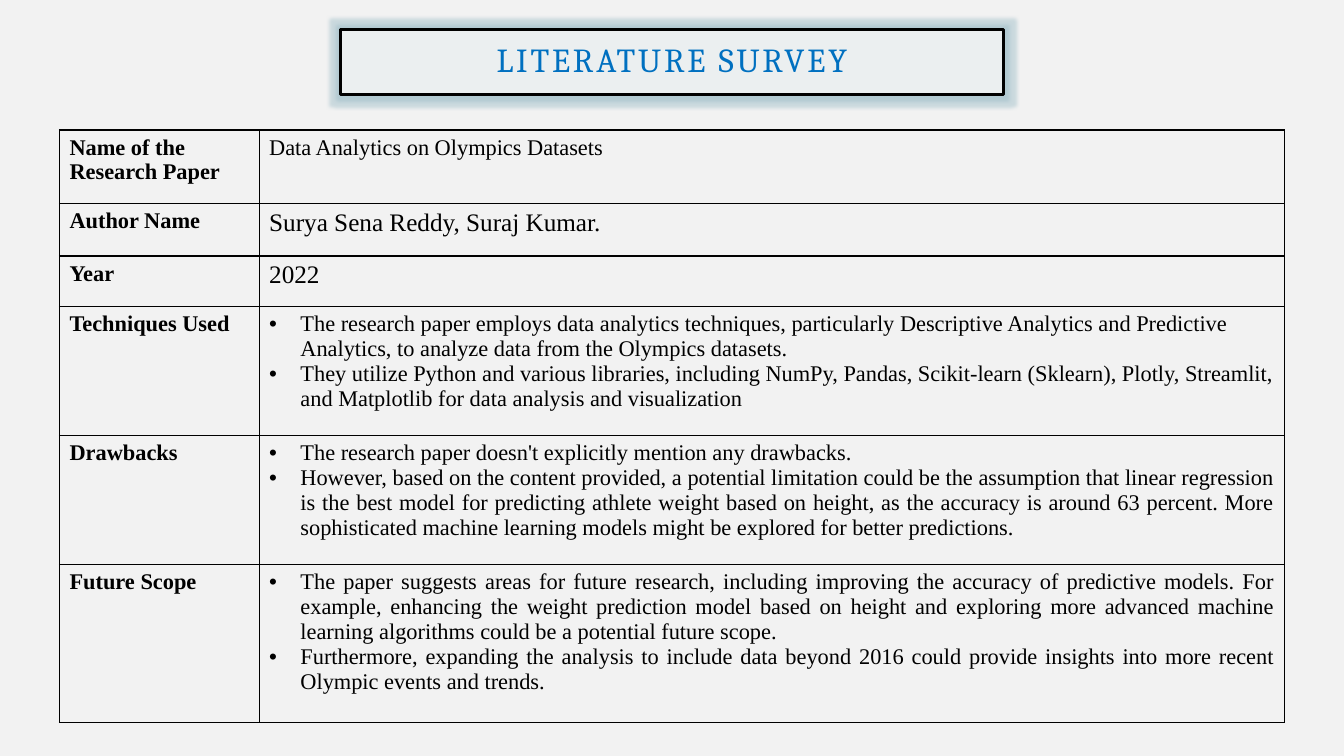
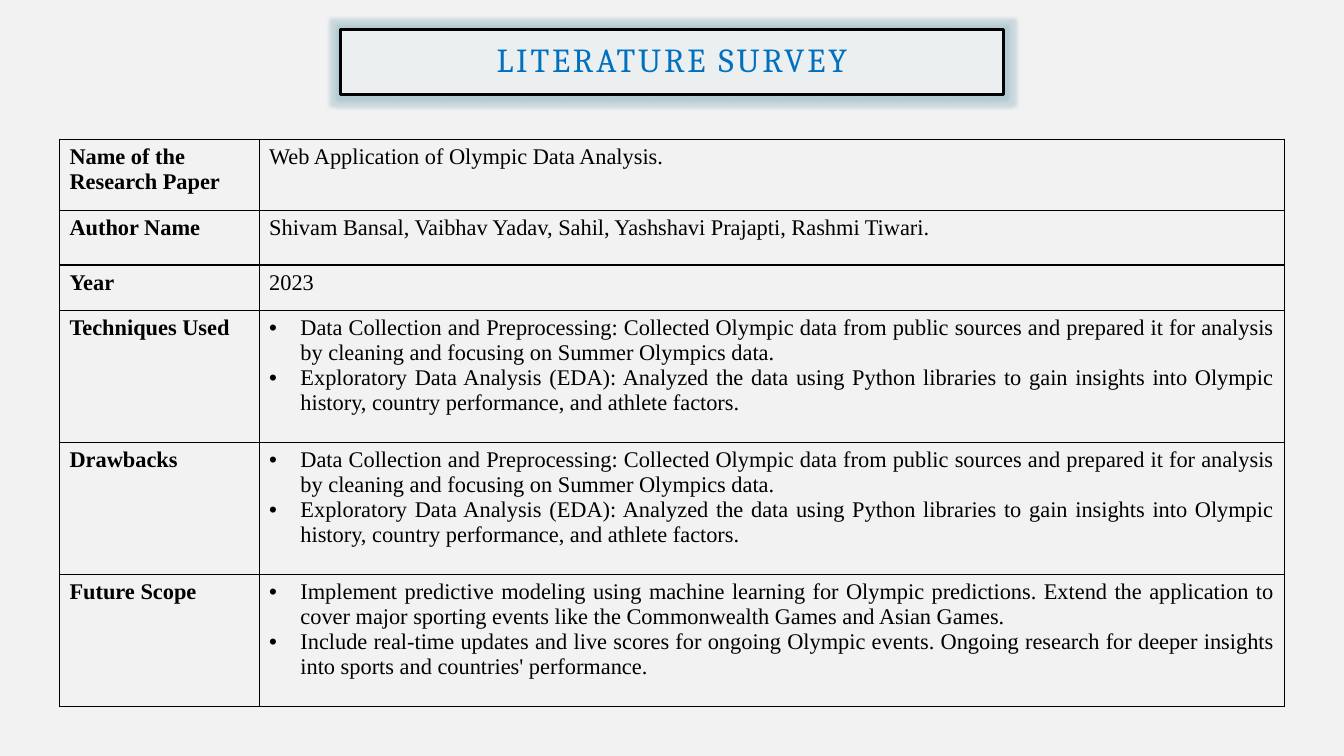
"""Build two literature survey slides, each with a framed title and a table."""
from dataclasses import dataclass

from lxml.etree import SubElement
from pptx import Presentation
from pptx.dml.color import RGBColor
from pptx.enum.shapes import MSO_SHAPE as Shape
from pptx.enum.text import MSO_ANCHOR as Anchor, PP_ALIGN as Align
from pptx.oxml import parse_xml
from pptx.oxml.ns import nsdecls, qn
from pptx.util import Inches, Pt


@dataclass(frozen=True)
class Theme:
    """Colours, fonts, type sizes and measures shared by the slides."""
    background: str = "F2F2F2"
    title_fill: str = "EBEFF0"
    title_text: str = "0070C0"
    glow: str = "8FB4C0"
    ink: str = "000000"
    title_font: str = "Cambria"
    body_font: str = "Times New Roman"
    title_size: int = 24
    body_size: int = 16
    large_size: int = 18
    frame: float = 2.25
    rule: float = 1
    indent: float = 0.31


THEME = Theme()
WIDTH, HEIGHT = 13.33, 7.5
TITLE = "LITERATURE SURVEY"
TITLE_TOP, TITLE_WIDTH, TITLE_HEIGHT = 0.29, 6.58, 0.65
COLUMNS = (1.98, 10.17)
LABELS = ("Name of the Research Paper", "Author Name", "Year",
          "Techniques Used", "Drawbacks", "Future Scope")
LARGE = {"size": Pt(THEME.large_size)}

COLLECTION = [
    "Data Collection and Preprocessing: Collected Olympic data from public sources and prepared it "
    "for analysis by cleaning and focusing on Summer Olympics data.",
    "Exploratory Data Analysis (EDA): Analyzed the data using Python libraries to gain insights into "
    "Olympic history, country performance, and athlete factors.",
]

SURVEYS = [
    {
        "top": 1.29,
        "rows": (0.73, 0.52, 0.5, 1.28, 1.28, 1.57),
        "formats": {"Author Name": LARGE, "Year": LARGE},
        "left_aligned": {"Techniques Used"},
        "entries": [
            "Data Analytics on Olympics Datasets",
            "Surya Sena Reddy, Suraj Kumar.",
            "2022",
            ["The research paper employs data analytics techniques, particularly Descriptive Analytics "
             "and Predictive Analytics, to analyze data from the Olympics datasets.",
             "They utilize Python and various libraries, including NumPy, Pandas, Scikit-learn (Sklearn), "
             "Plotly, Streamlit, and Matplotlib for data analysis and visualization"],
            ["The research paper doesn't explicitly mention any drawbacks.",
             "However, based on the content provided, a potential limitation could be the assumption that "
             "linear regression is the best model for predicting athlete weight based on height, as the "
             "accuracy is around 63 percent. More sophisticated machine learning models might be explored "
             "for better predictions."],
            ["The paper suggests areas for future research, including improving the accuracy of predictive "
             "models. For example, enhancing the weight prediction model based on height and exploring more "
             "advanced machine learning algorithms could be a potential future scope.",
             "Furthermore, expanding the analysis to include data beyond 2016 could provide insights into "
             "more recent Olympic events and trends."],
        ],
    },
    {
        "top": 1.38,
        "rows": (0.71, 0.54, 0.45, 1.31, 1.31, 1.31),
        "formats": {},
        "left_aligned": set(),
        "entries": [
            "Web Application of Olympic Data Analysis.",
            "Shivam Bansal, Vaibhav Yadav, Sahil, Yashshavi Prajapti, Rashmi Tiwari.",
            "2023",
            COLLECTION,
            COLLECTION,
            ["Implement predictive modeling using machine learning for Olympic predictions. Extend the "
             "application to cover major sporting events like the Commonwealth Games and Asian Games.",
             "Include real-time updates and live scores for ongoing Olympic events. Ongoing research for "
             "deeper insights into sports and countries' performance."],
        ],
    },
]


def apply(target, values):
    """Set each named attribute on the target."""
    for name, value in values.items():
        setattr(target, name, value)


def color(code):
    """Return the colour for a hex code."""
    return RGBColor.from_string(code)


def line_xml(tag, width):
    """Return a solid ink line element."""
    return parse_xml(
        f'<a:{tag} {nsdecls("a")} w="{Pt(width)}"><a:solidFill>'
        f'<a:srgbClr val="{THEME.ink}"/></a:solidFill></a:{tag}>')


def add_title(slide):
    """Add the framed, glowing title."""
    shape = slide.shapes.add_shape(
        Shape.RECTANGLE, Inches((WIDTH - TITLE_WIDTH) / 2), Inches(TITLE_TOP),
        Inches(TITLE_WIDTH), Inches(TITLE_HEIGHT))
    shape.fill.solid()
    shape.fill.fore_color.rgb = color(THEME.title_fill)
    shape.line.color.rgb = color(THEME.ink)
    shape.line.width = Pt(THEME.frame)
    shape.shadow.inherit = False
    effects = shape._element.spPr.find(qn("a:effectLst"))
    effects.append(parse_xml(
        f'<a:glow {nsdecls("a")} rad="{Inches(0.07)}"><a:srgbClr val="{THEME.glow}">'
        '<a:alpha val="40000"/></a:srgbClr></a:glow>'))
    frame = shape.text_frame
    margins = ("margin_left", "margin_top", "margin_right", "margin_bottom")
    apply(frame, {"word_wrap": True, "vertical_anchor": Anchor.MIDDLE,
                  **dict.fromkeys(margins, Inches(0.2))})
    paragraph = frame.paragraphs[0]
    apply(paragraph, {"alignment": Align.CENTER, "line_spacing": 0.9})
    run = paragraph.add_run()
    run.text = TITLE
    apply(run.font, {"name": THEME.title_font, "size": Pt(THEME.title_size)})
    run.font.color.rgb = color(THEME.title_text)
    properties = run.font._element
    properties.set("spc", "200")
    properties.insert(0, line_xml("ln", 0.75))


def add_bullet(paragraph):
    """Give a paragraph a hanging bullet."""
    properties = paragraph._p.get_or_add_pPr()
    indent = Inches(THEME.indent)
    properties.set("marL", str(indent))
    properties.set("indent", str(-indent))
    SubElement(properties, qn("a:buFont"), typeface="Arial")
    SubElement(properties, qn("a:buChar"), char="•")


def fill_cell(cell, content, values, alignment=Align.LEFT):
    """Write text or a bulleted list into a ruled, unfilled cell."""
    properties = cell._tc.get_or_add_tcPr()
    for side in "LRTB":
        properties.append(line_xml(f"ln{side}", THEME.rule))
    cell.fill.background()
    bulleted = isinstance(content, list)
    frame = cell.text_frame
    for index, text in enumerate(content if bulleted else [content]):
        paragraph = frame.add_paragraph() if index else frame.paragraphs[0]
        paragraph.alignment = alignment
        if bulleted:
            add_bullet(paragraph)
        run = paragraph.add_run()
        run.text = text
        apply(run.font, {"name": THEME.body_font, "size": Pt(THEME.body_size),
                         "bold": False, **values})
        run.font.color.rgb = color(THEME.ink)


def add_survey(slide, survey):
    """Add the table describing one research paper."""
    width, rows = sum(COLUMNS), survey["rows"]
    table = slide.shapes.add_table(
        len(rows), len(COLUMNS), Inches((WIDTH - width) / 2), Inches(survey["top"]),
        Inches(width), Inches(sum(rows))).table
    apply(table, {"first_row": False, "horz_banding": False})
    for column, size in zip(table.columns, COLUMNS):
        column.width = Inches(size)
    for row, size, label, entry in zip(table.rows, rows, LABELS, survey["entries"]):
        row.height = Inches(size)
        label_cell, entry_cell = row.cells
        fill_cell(label_cell, label, {"bold": True})
        alignment = Align.LEFT if label in survey["left_aligned"] else Align.JUSTIFY
        fill_cell(entry_cell, entry, survey["formats"].get(label, {}), alignment)


def main():
    """Build and save the presentation."""
    presentation = Presentation()
    apply(presentation, {"slide_width": Inches(WIDTH), "slide_height": Inches(HEIGHT)})
    for survey in SURVEYS:
        slide = presentation.slides.add_slide(presentation.slide_layouts[6])
        slide.background.fill.solid()
        slide.background.fill.fore_color.rgb = color(THEME.background)
        add_title(slide)
        add_survey(slide, survey)
    presentation.save("out.pptx")


if __name__ == "__main__":
    main()
